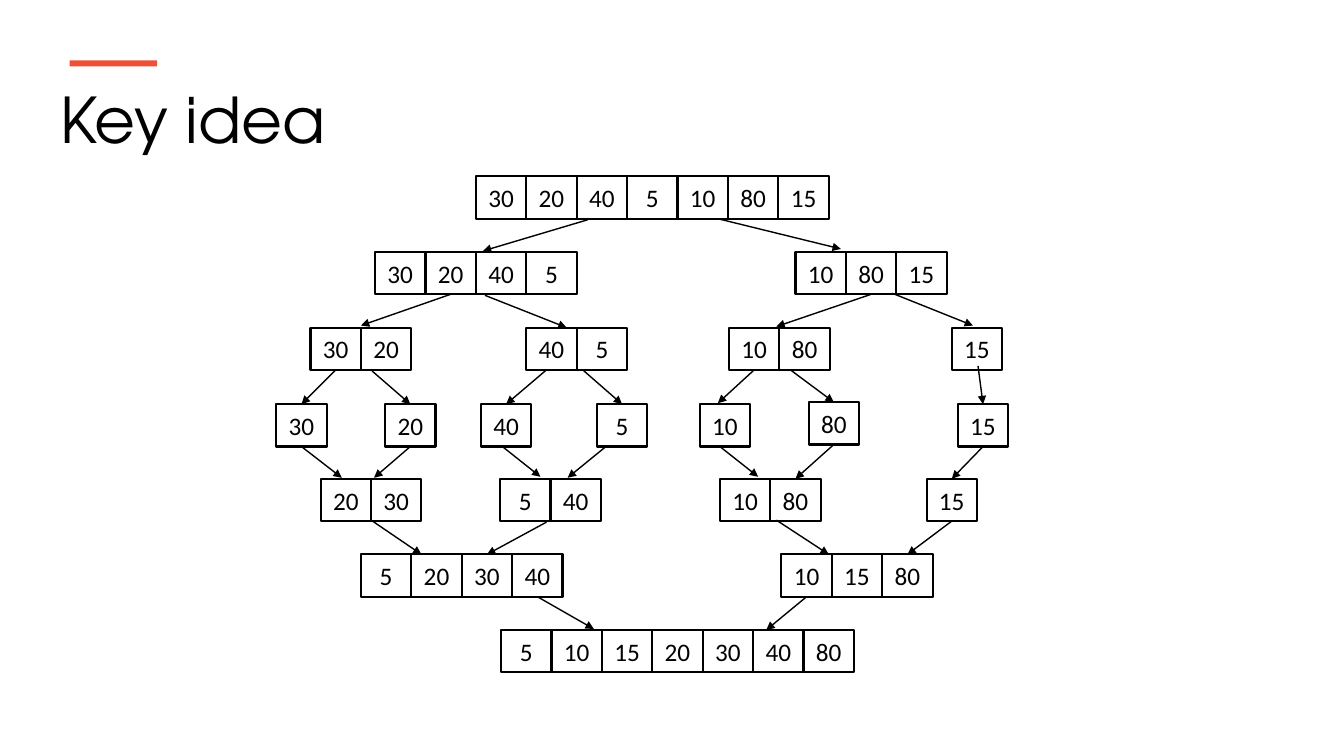
from dataclasses import dataclass

from lxml import etree
from pptx import Presentation
from pptx.dml.color import RGBColor
from pptx.enum import shapes, text
from pptx.oxml import ns
from pptx.util import Inches, Pt


@dataclass(frozen=True)
class Theme:
    ink: RGBColor = RGBColor(0x00, 0x00, 0x00)
    accent: RGBColor = RGBColor(0xF0, 0x51, 0x36)
    title_font: str = "TeX Gyre Adventor"
    body_font: str = "Calibri"
    title_size: int = 45
    cell_size: int = 18
    cell_line: float = 1.5
    arrow_line: float = 1


CELL_W, CELL_H = 0.5, 0.42
SNAP = Inches(0.03)

ARRAYS = [
    (4.72, 1.75, (30, 20, 40, 5, 10, 80, 15)),
    (3.72, 2.5, (30, 20, 40, 5)),
    (7.89, 2.5, (10, 80, 15)),
    (3.08, 3.25, (30, 20)),
    (5.22, 3.25, (40, 5)),
    (7.23, 3.25, (10, 80)),
    (9.44, 3.25, (15,)),
    (2.74, 4.01, (30,)),
    (3.82, 4.01, (20,)),
    (4.77, 4.01, (40,)),
    (5.92, 4.01, (5,)),
    (6.94, 4.01, (10,)),
    (8.02, 3.99, (80,)),
    (9.5, 4.01, (15,)),
    (3.18, 4.75, (20, 30)),
    (4.96, 4.75, (5, 40)),
    (7.14, 4.75, (10, 80)),
    (9.19, 4.75, (15,)),
    (3.58, 5.5, (5, 20, 30, 40)),
    (7.75, 5.5, (10, 15, 80)),
    (4.97, 6.25, (5, 10, 15, 20, 30, 40, 80)),
]

SPLITS = [
    (5.83, 2.18, 4.79, 2.49), (7.12, 2.17, 8.34, 2.47),
    (4.47, 2.91, 3.58, 3.23), (4.81, 2.93, 5.62, 3.25),
    (8.64, 2.91, 7.7, 3.24), (8.85, 2.91, 9.65, 3.23),
    (3.33, 3.66, 2.99, 3.99), (3.69, 3.68, 4.07, 3.99),
    (5.42, 3.67, 5.04, 4), (5.78, 3.67, 6.15, 4),
    (7.48, 3.66, 7.12, 4), (7.84, 3.67, 8.27, 3.99),
    (9.7, 3.63, 9.74, 3.99),
]

MERGES = [
    (3.01, 4.43, 3.39, 4.74), (4.1, 4.43, 3.71, 4.74),
    (4.97, 4.42, 5.36, 4.73), (6.01, 4.43, 5.63, 4.74),
    (7.14, 4.43, 7.52, 4.73), (8.27, 4.4, 7.89, 4.75),
    (9.75, 4.43, 9.44, 4.75),
    (3.68, 5.16, 4.18, 5.5), (5.42, 5.18, 4.84, 5.49),
    (7.7, 5.16, 8.22, 5.5), (9.41, 5.18, 9, 5.5),
    (5.33, 5.92, 5.89, 6.24), (8, 5.91, 7.6, 6.25),
]


class Deck:
    def __init__(self, theme):
        self.theme = theme
        self.prs = Presentation()
        self.prs.slide_width = Inches(13.33)
        self.prs.slide_height = Inches(7.5)
        self.slide = self.prs.slides.add_slide(self.prs.slide_layouts[6])
        self.cells = []

    def style(self, p, font, size):
        p.font.name = font
        p.font.size = Pt(size)
        p.font.color.rgb = self.theme.ink

    def title(self, x, y, w, h, words):
        tb = self.slide.shapes.add_textbox(*map(Inches, (x, y, w, h)))
        tf = tb.text_frame
        tf.word_wrap = True
        p = tf.paragraphs[0]
        p.text = words
        self.style(p, self.theme.title_font, self.theme.title_size)

    def bar(self, x, y, w, h):
        sp = self.slide.shapes.add_shape(
            shapes.MSO_SHAPE.RECTANGLE, *map(Inches, (x, y, w, h)))
        sp.shadow.inherit = False
        sp.fill.solid()
        sp.fill.fore_color.rgb = self.theme.accent
        sp.line.fill.background()

    def cell(self, parent, x, y, value):
        sp = parent.add_shape(
            shapes.MSO_SHAPE.RECTANGLE, *map(Inches, (x, y, CELL_W, CELL_H)))
        sp.shadow.inherit = False
        sp.fill.background()
        sp.line.color.rgb = self.theme.ink
        sp.line.width = Pt(self.theme.cell_line)
        tf = sp.text_frame
        tf.vertical_anchor = text.MSO_ANCHOR.MIDDLE
        p = tf.paragraphs[0]
        p.text = str(value)
        p.alignment = text.PP_ALIGN.CENTER
        self.style(p, self.theme.body_font, self.theme.cell_size)
        self.cells.append(sp)

    def array(self, x, y, values):
        parent = self.slide.shapes
        if len(values) > 1:
            parent = parent.add_group_shape().shapes
        for i, value in enumerate(values):
            self.cell(parent, x + i * CELL_W, y, value)

    def join(self, connect, x, y, site):
        for sp in self.cells:
            side_x = sp.left + sp.width // 2
            side_y = sp.top + (sp.height if site == 2 else 0)
            if abs(side_x - x) <= SNAP and abs(side_y - y) <= SNAP:
                connect(sp, site)
                return

    def arrow(self, *ends):
        x1, y1, x2, y2 = map(Inches, ends)
        cx = self.slide.shapes.add_connector(
            shapes.MSO_CONNECTOR.STRAIGHT, x1, y1, x2, y2)
        cx.line.color.rgb = self.theme.ink
        cx.line.width = Pt(self.theme.arrow_line)
        sp_pr = cx._element.spPr
        tail = etree.SubElement(sp_pr.find(ns.qn("a:ln")), ns.qn("a:tailEnd"))
        tail.set("type", "triangle")
        etree.SubElement(sp_pr, ns.qn("a:effectLst"))
        self.join(cx.begin_connect, x1, y1, 2)
        self.join(cx.end_connect, x2, y2, 0)


def main():
    deck = Deck(Theme())
    deck.title(0.5, 0.75, 12.09, 0.86, "Key idea")
    deck.bar(0.69, 0.6, 0.87, 0.06)
    for x, y, values in ARRAYS:
        deck.array(x, y, values)
    for ends in SPLITS + MERGES:
        deck.arrow(*ends)
    deck.prs.save("out.pptx")


if __name__ == "__main__":
    main()
